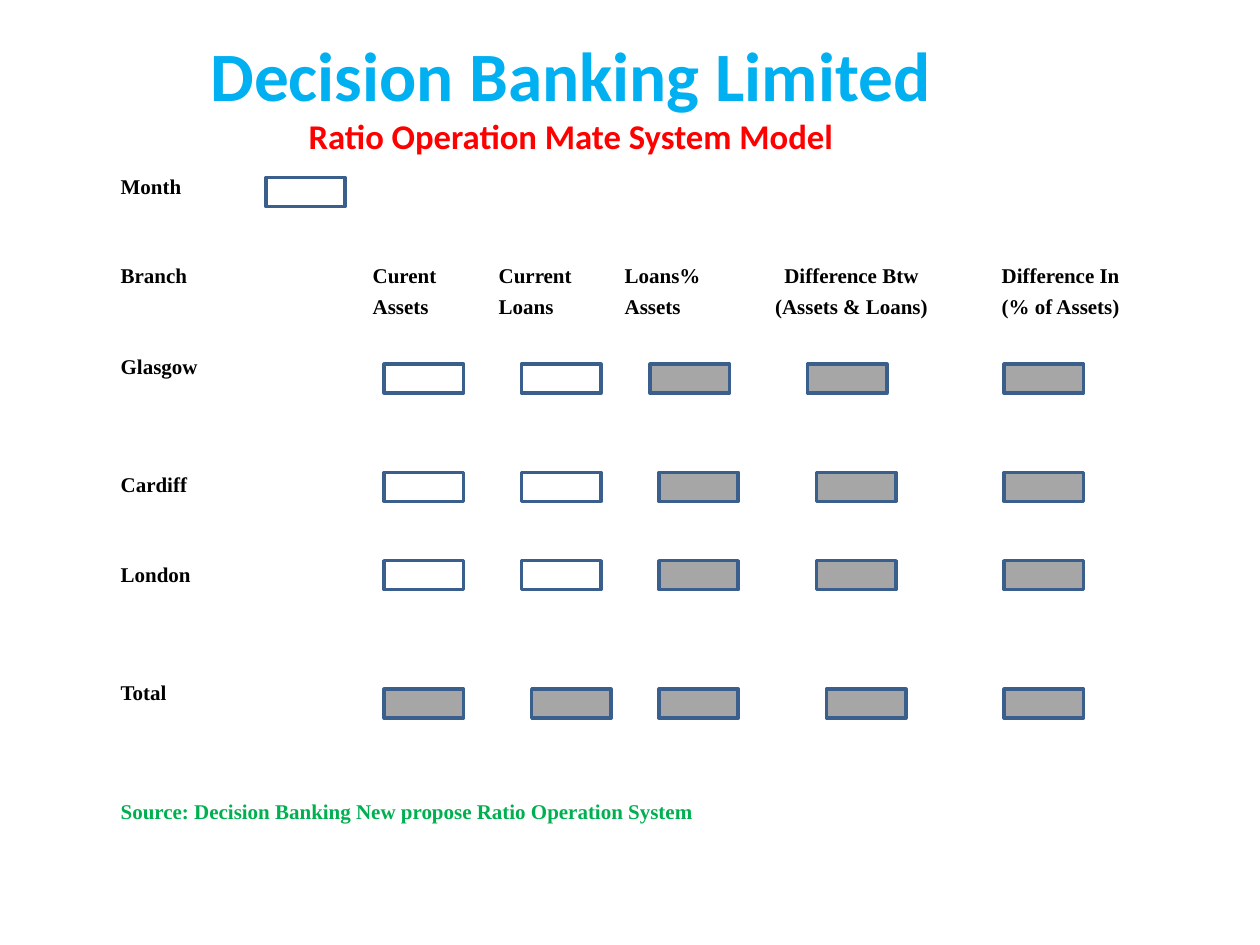
from lxml import etree
from pptx import Presentation
from pptx.dml.color import RGBColor
from pptx.enum.shapes import MSO_SHAPE
from pptx.enum.text import MSO_ANCHOR, MSO_AUTO_SIZE, PP_ALIGN
from pptx.oxml.ns import qn
from pptx.util import Inches, Pt

RECTANGLE = MSO_SHAPE.RECTANGLE
MIDDLE, TOP = MSO_ANCHOR.MIDDLE, MSO_ANCHOR.TOP
NO_FIT = MSO_AUTO_SIZE.NONE
CENTER = PP_ALIGN.CENTER

BLACK, GREEN, SKY, RED = "000000", "00B050", "00B0F0", "FF0000"
WHITE, GREY, OUTLINE = "FFFFFF", "A6A6A6", "3A5F8C"

LINE_HEIGHT, LINE_PITCH = 13.8, 16.8  # points, for 12 pt text
TABS = [(2, "l"), (3, "l"), (4, "l"), (5.8, "ctr"), (7.46, "ctr")]

# Text, lines down from the paragraph before, colour
FORM_LINES = [
    ("Month", 0, BLACK),
    ("Branch\tCurent\tCurrent\tLoans%\tDifference Btw\tDifference In", 3, BLACK),
    ("\tAssets\tLoans\tAssets\t(Assets & Loans)\t(% of Assets)", 1, BLACK),
    ("Glasgow", 2, BLACK),
    ("Cardiff", 4, BLACK),
    ("London", 3, BLACK),
    ("Total", 4, BLACK),
    ("Source: Decision Banking New propose Ratio Operation System", 4, GREEN),
]

# Top of a row of fields, number of white input fields, left edges;
# all measured from the corner of the form
FIELD_ROWS = [
    (0.08, 1, [1.25]),
    (1.56, 2, [2.19, 3.28, 4.3, 5.55, 7.11]),
    (2.42, 2, [2.19, 3.28, 4.37, 5.62, 7.11]),
    (3.12, 2, [2.19, 3.28, 4.37, 5.62, 7.11]),
    (4.14, 0, [2.19, 3.36, 4.37, 5.7, 7.11]),
]


def rgb(color):
    return RGBColor.from_string(color)


def add_run(p, text, size, font, color):
    r = p.add_run()
    r.text = text
    r.font.size = Pt(size)
    r.font.name = font
    r.font.bold = True
    r.font.color.rgb = rgb(color)


def set_tabs(p):
    tab_list = etree.SubElement(p._p.get_or_add_pPr(), qn("a:tabLst"))
    for position, align in TABS:
        etree.SubElement(tab_list, qn("a:tab"), pos=str(Inches(position)), algn=align)


def add_title(s, left, top, width, height):
    sp = s.shapes.title
    sp.left, sp.top = Inches(left), Inches(top)
    sp.width, sp.height = Inches(width), Inches(height)
    tf = sp.text_frame
    tf.auto_size = NO_FIT
    tf.vertical_anchor = MIDDLE
    p = tf.paragraphs[0]
    p.alignment = CENTER
    add_run(p, "Decision Banking Limited", 39.6, "Calibri", SKY)
    p.add_line_break()
    add_run(p, "Ratio Operation Mate System Model", 19.8, "Calibri", RED)


def add_form_text(s, left, top, width, height):
    sp = s.shapes.add_textbox(Inches(left), Inches(top), Inches(width), Inches(height))
    tf = sp.text_frame
    tf.word_wrap = True
    tf.vertical_anchor = TOP
    for i, (text, lines, color) in enumerate(FORM_LINES):
        p = tf.add_paragraph() if i else tf.paragraphs[0]
        if lines:
            p.space_before = Pt(lines * LINE_PITCH - LINE_HEIGHT)
        if "\t" in text:
            set_tabs(p)
        add_run(p, text, 12, "Times New Roman", color)


def add_field(s, left, top, fill):
    sp = s.shapes.add_shape(RECTANGLE, Inches(left), Inches(top), Inches(0.63), Inches(0.23))
    sp.shadow.inherit = False
    sp.fill.solid()
    sp.fill.fore_color.rgb = rgb(fill)
    sp.line.color.rgb = rgb(OUTLINE)
    sp.line.width = Pt(2)


def add_form(s, left, top, width, height):
    """Labels with white fields for input and grey ones for results."""
    add_form_text(s, left, top, width, height)
    for row_top, inputs, lefts in FIELD_ROWS:
        for i, field_left in enumerate(lefts):
            add_field(s, left + field_left, top + row_top, WHITE if i < inputs else GREY)


def main():
    prs = Presentation()
    prs.slide_width, prs.slide_height = Inches(10), Inches(7.5)
    s = prs.slides.add_slide(prs.slide_layouts[5])
    add_title(s, 1.17, 0.47, 6.72, 0.56)
    add_form(s, 0.86, 1.33, 8.44, 5.63)
    prs.save("out.pptx")


if __name__ == "__main__":
    main()
